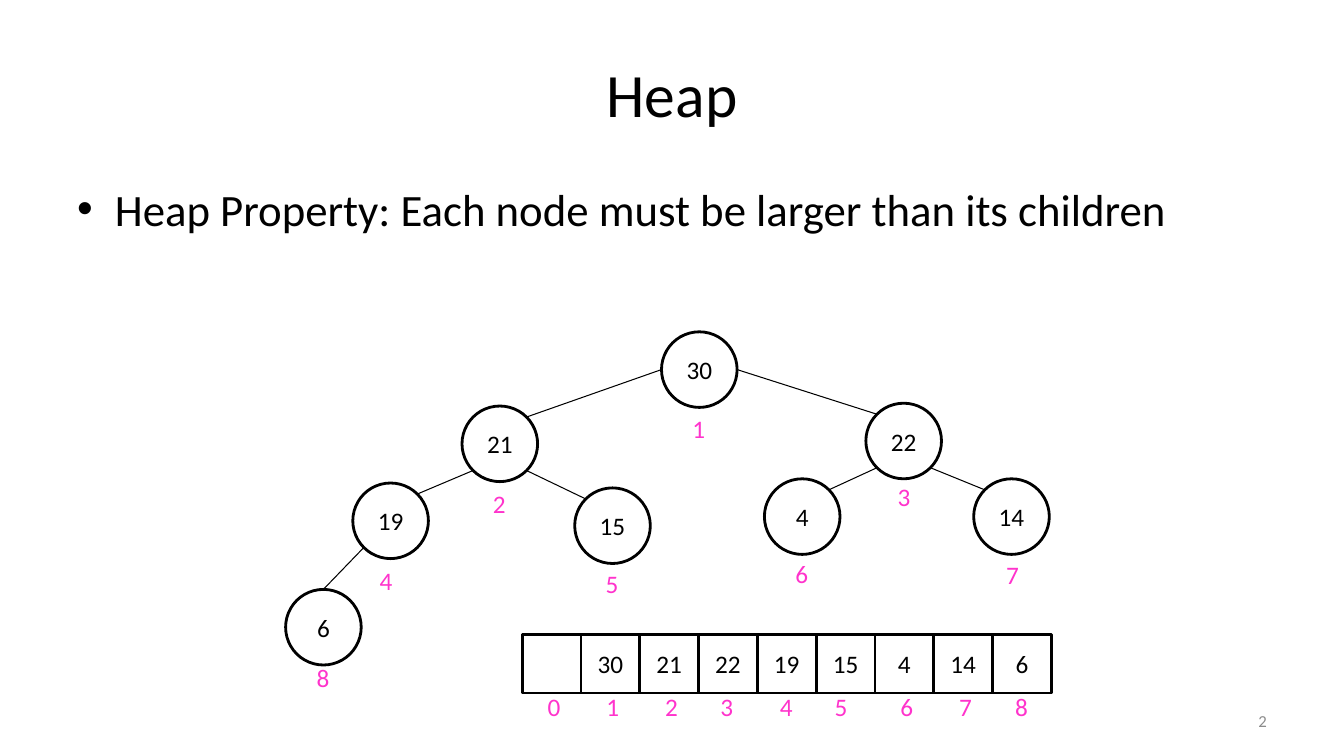
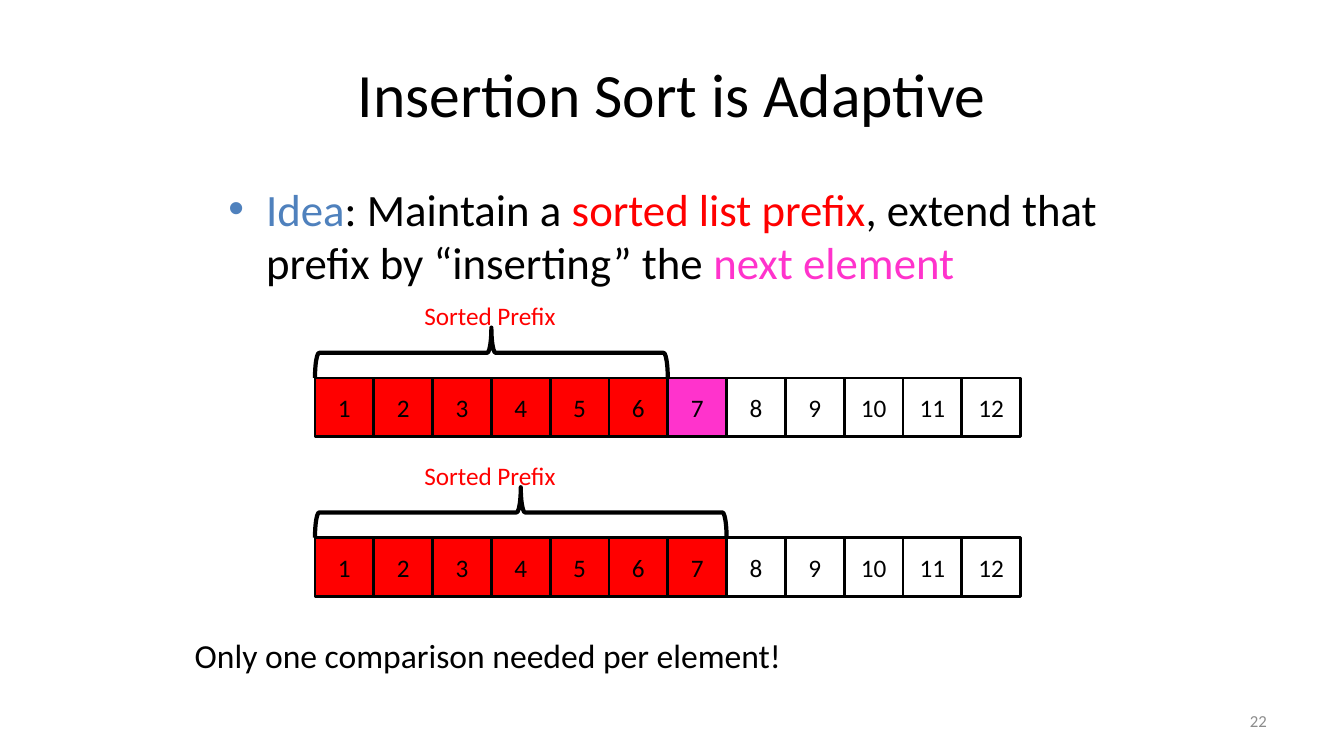
import math
import pptx
import pptx.util
import pptx.dml.color
import pptx.enum.shapes
import pptx.enum.text
import pptx.oxml.ns
from lxml import etree

Pt = pptx.util.Pt
SHAPE = pptx.enum.shapes.MSO_SHAPE
ALIGN = pptx.enum.text.PP_ALIGN
ANCHOR = pptx.enum.text.MSO_ANCHOR

# Shared look
FONT = "Calibri"
HUE = {"ink": "000000", "paper": "FFFFFF", "pink": "FF33CC",
       "red": "FF0000", "blue": "4F81BD", "grey": "8C8C8C"}
NODE, CELL = 54, 42
MARK = (24, 29)  # size of an index label

# Slide 1: heap
HEAP_TITLE = "Heap"
HEAP_TEXT = [("Heap Property: Each node must be larger than its children", "ink")]
# value, left, top, label's shift from the node
NODES = [
    ("30", 472.5, 237, 15, 55),
    ("21", 330, 290, 15, 55),
    ("22", 618.5, 288, 15.5, 52),
    ("19", 252, 345, 12, 55),
    ("15", 410.5, 348.5, 15, 54),
    ("4", 546, 342, 15, 53),
    ("14", 695.5, 342, 16, 54),
    ("6", 204, 421, 15, 48.5),
]
# Joints on a circle run counterclockwise from the top in steps of 45 degrees
TOP, TOP_LEFT, LEFT, LOW_LEFT, LOW, LOW_RIGHT, RIGHT, TOP_RIGHT = range(8)
# parent index, joint, child index, joint
EDGES = [
    (1, LEFT, 2, TOP_RIGHT),
    (1, RIGHT, 3, TOP_LEFT),
    (2, LOW_RIGHT, 5, TOP_LEFT),
    (2, LOW_LEFT, 4, TOP_RIGHT),
    (4, LOW_LEFT, 8, TOP),
    (3, LOW_LEFT, 6, TOP_RIGHT),
    (3, LOW_RIGHT, 7, TOP_LEFT),
]
HEAP_ROW = (373, 453)
NUDGE = [0, 0, 0, -2.5, -2, -5, 0, 0, -2]

# Slide 2: insertion sort
SORT_TITLE = "Insertion Sort is Adaptive"
SORT_TEXT = [("Idea", "blue"), (": Maintain a ", "ink"),
             ("sorted list prefix", "red"),
             (", extend that prefix by “inserting” the ", "ink"),
             ("next element", "pink")]
ITEMS = [str(n) for n in range(1, 13)]
SORT_LEFT = 225
# top of the row, length of its sorted prefix, count of next elements
STEPS = [(270, 6, 1), (384, 7, 0)]
PREFIX = "Sorted Prefix"
CLOSING = "Only one comparison needed per element!"


def tint(name):
    return pptx.dml.color.RGBColor.from_string(HUE[name])


def write(frame, runs, size, align=ALIGN.LEFT):
    par = frame.paragraphs[0]
    par.alignment = align
    for text, hue in runs:
        run = par.add_run()
        run.text = text
        run.font.name = FONT
        run.font.size = Pt(size)
        run.font.color.rgb = tint(hue)
    return par


def add_text(shapes, box, runs, size, align=ALIGN.LEFT, anchor=ANCHOR.TOP, wrap=True):
    frame = shapes.add_textbox(*map(Pt, box)).text_frame
    frame.word_wrap = wrap
    frame.vertical_anchor = anchor
    return write(frame, runs, size, align)


def add_box(shapes, kind, box, fill=None, text="", width=2):
    shape = shapes.add_shape(kind, *map(Pt, box))
    shape.shadow.inherit = False
    if fill:
        shape.fill.solid()
        shape.fill.fore_color.rgb = tint(fill)
    else:
        shape.fill.background()
    shape.line.color.rgb = tint("ink")
    shape.line.width = Pt(width)
    if text:
        frame = shape.text_frame
        frame.vertical_anchor = ANCHOR.MIDDLE
        write(frame, [(text, "ink")], 18, ALIGN.CENTER)
    return shape


def add_page(deck, title, body, box, page):
    shapes = deck.slides.add_slide(deck.slide_layouts[6]).shapes
    add_text(shapes, (48, 21.6, 864, 90), [(title, "ink")], 44,
             ALIGN.CENTER, ANCHOR.MIDDLE)
    par = add_text(shapes, box, body, 32)
    par.space_before = Pt(6.4)
    props = par._p.get_or_add_pPr()
    props.set("marL", str(Pt(27)))
    props.set("indent", str(Pt(-27)))
    for tag, key, val in (("a:buFont", "typeface", "Arial"), ("a:buChar", "char", "•")):
        etree.SubElement(props, pptx.oxml.ns.qn(tag)).set(key, val)
    add_text(shapes, (688, 500.5, 224, 28.8), [(page, "grey")], 12,
             ALIGN.RIGHT, ANCHOR.MIDDLE)
    return shapes


def add_mark(shapes, left, top, text):
    add_text(shapes, (left, top, *MARK), [(text, "pink")], 18, wrap=False)


def add_row(shapes, left, top, cells):
    group = shapes.add_group_shape().shapes
    for i, (text, fill) in enumerate(cells):
        add_box(group, SHAPE.RECTANGLE, (left + i * CELL, top, CELL, CELL), fill, text)
    return group


def add_edge(shapes, *ends):
    line = shapes.add_connector(pptx.enum.shapes.MSO_CONNECTOR.STRAIGHT, 0, 0, 0, 0)
    spots = []
    for (node, joint), join in zip(ends, (line.begin_connect, line.end_connect)):
        # Join at the top, then name the true joint: circles have eight
        join(node, TOP)
        line._element.nvCxnSpPr.cNvCxnSpPr[-1].set("idx", str(joint))
        turn = math.radians(90 + 45 * joint)
        half = node.width / 2
        spots.append((round(node.left + half + half * math.cos(turn)),
                      round(node.top + half - half * math.sin(turn))))
    (line.begin_x, line.begin_y), (line.end_x, line.end_y) = spots
    line.line.color.rgb = tint("ink")
    line.line.width = Pt(0.75)
    etree.SubElement(line._element.spPr, pptx.oxml.ns.qn("a:effectLst"))


def add_brace(shapes, left, base, span, depth=36):
    # Turned on its side, so the box is set around its centre
    mid_x, mid_y = left + span / 2, base - depth / 2
    box = (mid_x - depth / 2, mid_y - span / 2, depth, span)
    add_box(shapes, SHAPE.RIGHT_BRACE, box, width=3).rotation = 270


def draw_heap(deck):
    shapes = add_page(deck, HEAP_TITLE, HEAP_TEXT, (48, 126, 864, 356.4), "2")
    # Tree
    discs = [add_box(shapes, SHAPE.OVAL, (x, y, NODE, NODE), "paper", text)
             for text, x, y, _, _ in NODES]
    for top, out, low, into in EDGES:
        add_edge(shapes, (discs[top - 1], out), (discs[low - 1], into))
    for i, (_, x, y, right, down) in enumerate(NODES, 1):
        add_mark(shapes, x + right, y + down, str(i))
    # Array
    left, top = HEAP_ROW
    texts = [""] + [node[0] for node in NODES]
    group = add_row(shapes, left, top, [(text, "paper") for text in texts])
    for i, shift in enumerate(NUDGE):
        add_mark(group, left + 11 + i * CELL + shift, top + 37.5, str(i))


def draw_sort(deck):
    shapes = add_page(deck, SORT_TITLE, SORT_TEXT, (156, 126, 648, 84), "22")
    for top, done, ahead in STEPS:
        rest = len(ITEMS) - done - ahead
        fills = ["red"] * done + ["pink"] * ahead + ["paper"] * rest
        add_row(shapes, SORT_LEFT, top, zip(ITEMS, fills))
        add_text(shapes, (296, top - 59, 124, 29), [(PREFIX, "red")], 18)
        add_brace(shapes, SORT_LEFT, top, done * CELL)
    add_text(shapes, (132, 450, 438, 36), [(CLOSING, "ink")], 24, wrap=False)


def main():
    deck = pptx.Presentation()
    deck.slide_width, deck.slide_height = Pt(960), Pt(540)
    draw_heap(deck)
    draw_sort(deck)
    deck.save("out.pptx")


if __name__ == "__main__":
    main()
